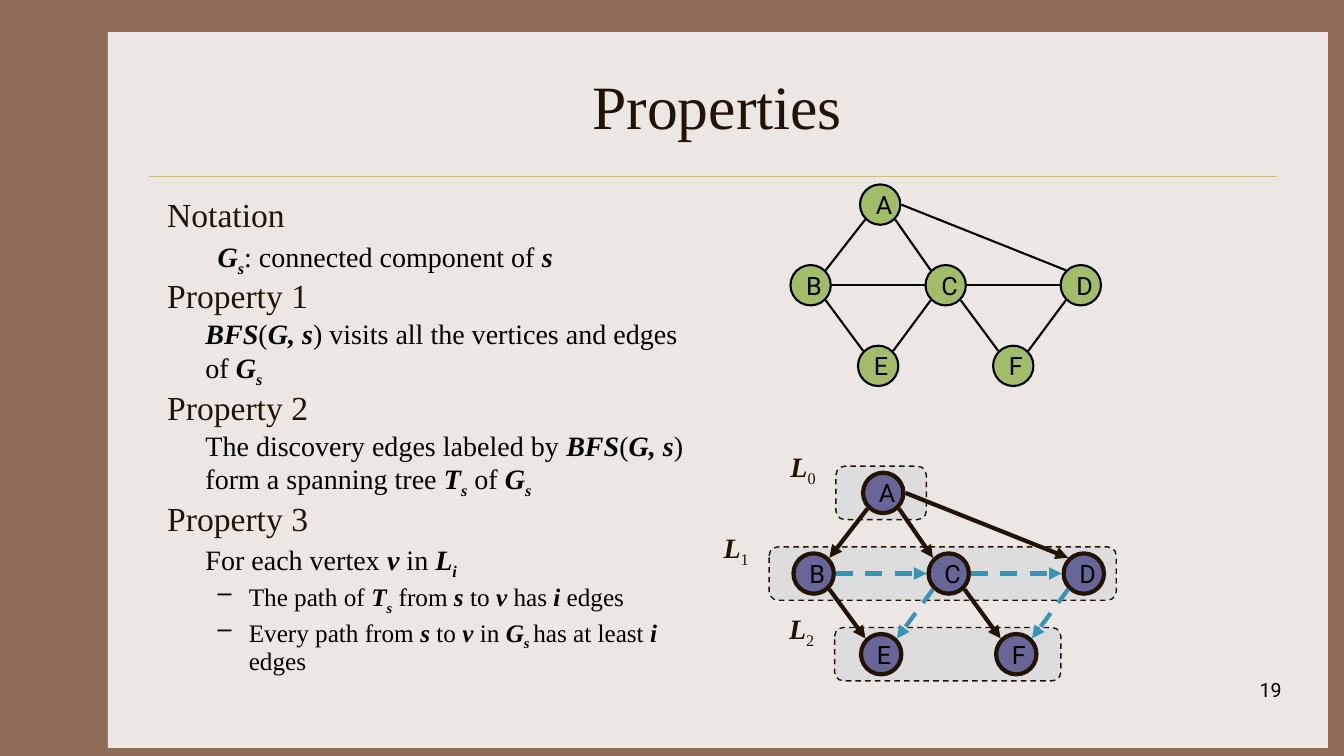
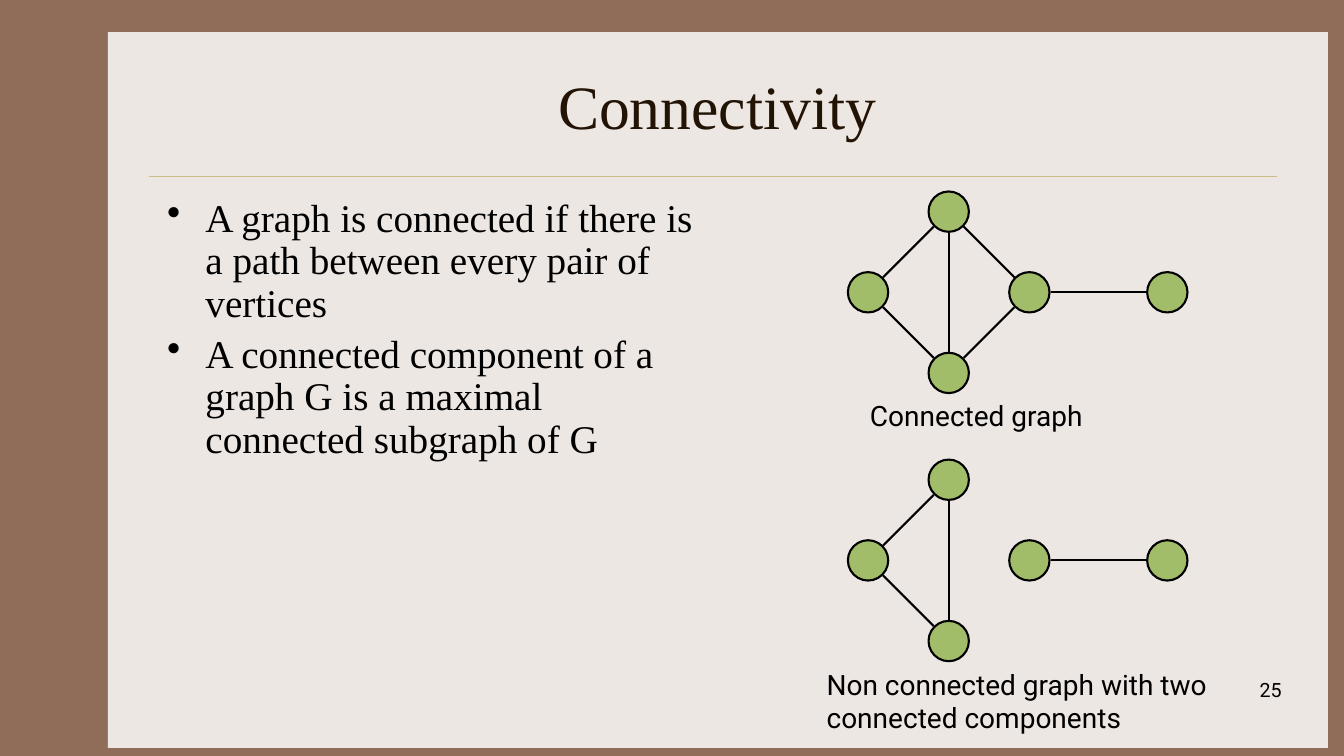
from dataclasses import dataclass
from typing import NamedTuple

from lxml.etree import SubElement
from pptx import Presentation
from pptx.dml.color import RGBColor
from pptx.enum.dml import MSO_LINE
from pptx.enum.shapes import MSO_CONNECTOR, MSO_SHAPE
from pptx.enum.text import MSO_ANCHOR, PP_ALIGN
from pptx.oxml.ns import qn
from pptx.util import Inches, Pt

SERIF, SANS = "Times New Roman", "Roboto"
FRAME, PAPER, RULE = "906D58", "EDE7E3", "CBBD83"
DARK, BLACK = "221304", "000000"
GREEN, VIOLET, GREY, CROSS_BLUE = "A1BD69", "666699", "DDDDDD", "3694B6"

NODE_RADIUS = 0.2
ROW_HEIGHT = 0.8
LEVEL_HEIGHT = 0.53


class Box(NamedTuple):
    left: float
    top: float
    width: float
    height: float


class Edge(NamedTuple):
    start: str
    end: str
    cross: bool = False
    flat_start: bool = False  # leaves from the side of the start node


class Line(NamedTuple):
    text: str  # *bold italic*, _subscript_
    size: float = 20
    colour: str = BLACK
    margin: float = 0.0
    hanging: float = 0.0
    bullet: str = ""


class Level(NamedTuple):
    first_column: float
    last_column: float


@dataclass(frozen=True)
class NodeStyle:
    fill: str
    line: str
    weight: float
    reach: float  # distance from node centre to edge end
    arrows: bool = False


@dataclass(frozen=True)
class Grid:
    left: float
    top: float
    column_width: float

    def point(self, column: float, row: float) -> tuple[float, float]:
        return self.left + column * self.column_width, self.top + row * ROW_HEIGHT


@dataclass(frozen=True)
class Graph:
    grid: Grid
    nodes: dict[str, tuple[float, float]]
    edges: list[Edge]
    style: NodeStyle
    lettered: bool = False


PLAIN = NodeStyle(GREEN, BLACK, 1.5, 0.21)
VISITED = NodeStyle(VIOLET, DARK, 3, 0.22, arrows=True)

BODY = Box(1.56, 1.92, 5.44, 4.5)
TITLE = Box(1.56, 0.42, 11.11, 1.25)
PAGE_NUMBER = Box(10.03, 6.68, 2.78, 0.5)


def colour(code: str) -> RGBColor:
    return RGBColor.from_string(code)


def inches(box: Box) -> list[int]:
    return [Inches(value) for value in box]


# Basic parts
def add_block(page, kind, box: Box, fill: str, line: str = "", weight: float = 1):
    shape = page.shapes.add_shape(kind, *inches(box))
    shape.shadow.inherit = False
    shape.fill.solid()
    shape.fill.fore_color.rgb = colour(fill)
    if line:
        shape.line.color.rgb = colour(line)
        shape.line.width = Pt(weight)
    else:
        shape.line.fill.background()
    return shape


def add_line(page, start, end, code: str, weight: float, dashed=False, arrow=False):
    ends = [Inches(value) for value in (*start, *end)]
    connector = page.shapes.add_connector(MSO_CONNECTOR.STRAIGHT, *ends)
    connector.line.color.rgb = colour(code)
    connector.line.width = Pt(weight)
    if dashed:
        connector.line.dash_style = MSO_LINE.DASH
    properties = connector.element.spPr
    if arrow:
        SubElement(properties.find(qn("a:ln")), qn("a:tailEnd"), type="triangle")
    SubElement(properties, qn("a:effectLst"))
    return connector


def format_span(span, font: str, size: float, code: str) -> None:
    span.font.name = font
    span.font.size = Pt(size)
    span.font.color.rgb = colour(code)


def write_rich(para, text: str, size: float, code: str) -> None:
    for index, part in enumerate(text.split("*")):
        for depth, piece in enumerate(part.split("_")):
            if not piece:
                continue
            span = para.add_run()
            span.text = piece
            format_span(span, SERIF, size, code)
            span.font.bold = span.font.italic = index % 2 == 1
            if depth % 2:
                span.font._element.set("baseline", "-25000")


def add_text_frame(page, box: Box):
    frame = page.shapes.add_textbox(*inches(box)).text_frame
    frame.word_wrap = True
    return frame


def add_label(page, box: Box, text: str, size: float, align=PP_ALIGN.LEFT) -> None:
    para = add_text_frame(page, box).paragraphs[0]
    para.text = text
    para.alignment = align
    format_span(para.runs[0], SANS, size, BLACK)


def add_body(page, lines: list[Line], space_share: float) -> None:
    frame = add_text_frame(page, BODY)
    for index, line in enumerate(lines):
        para = frame.add_paragraph() if index else frame.paragraphs[0]
        para.line_spacing = 0.9
        para.space_before = Pt(round(line.size * 1.15 * space_share, 1))
        write_rich(para, line.text, line.size, line.colour)
        properties = para._p.get_or_add_pPr()
        properties.set("marL", str(Inches(line.margin)))
        properties.set("indent", str(-Inches(line.hanging)))
        if line.bullet:
            SubElement(properties, qn("a:buChar"), char=line.bullet)


# Graphs
def edge_side(here, there, reach: float, flat: bool = False) -> tuple[float, float]:
    """Point beside a node, in one of eight directions towards another node."""
    steps = [(b > a + 0.01) - (b < a - 0.01) for a, b in zip(here, there)]
    if flat:
        steps[1] = 0
    share = reach * (0.71 if all(steps) else 1)
    return here[0] + steps[0] * share, here[1] + steps[1] * share


def add_graph(page, graph: Graph) -> None:
    style = graph.style
    centres = {name: graph.grid.point(*cell) for name, cell in graph.nodes.items()}
    for name, (x, y) in centres.items():
        box = Box(x - NODE_RADIUS, y - NODE_RADIUS, 2 * NODE_RADIUS, 2 * NODE_RADIUS)
        node = add_block(page, MSO_SHAPE.OVAL, box, style.fill, style.line, style.weight)
        if graph.lettered:
            frame = node.text_frame
            frame.text = name
            frame.word_wrap = False
            frame.vertical_anchor = MSO_ANCHOR.MIDDLE
            frame.paragraphs[0].alignment = PP_ALIGN.LEFT
            format_span(frame.paragraphs[0].runs[0], SANS, 18, BLACK)
    for edge in graph.edges:
        start, end = centres[edge.start], centres[edge.end]
        add_line(
            page,
            edge_side(start, end, style.reach, edge.flat_start),
            edge_side(end, start, style.reach),
            CROSS_BLUE if edge.cross else style.line,
            style.weight,
            dashed=edge.cross,
            arrow=style.arrows,
        )


def add_levels(page, grid: Grid, levels: list[Level]) -> None:
    for row, level in enumerate(levels):
        left, middle = grid.point(level.first_column, row)
        right, _ = grid.point(level.last_column, row)
        top = middle - LEVEL_HEIGHT / 2
        box = Box(left, top, right - left, LEVEL_HEIGHT)
        band = add_block(page, MSO_SHAPE.ROUNDED_RECTANGLE, box, GREY, DARK)
        band.line.dash_style = MSO_LINE.DASH
        frame = add_text_frame(page, Box(left - 0.55, top - 0.21, 0.51, 0.43))
        write_rich(frame.paragraphs[0], f"*L*_{row}_", 20, DARK)


# What the slides share
def add_frame(deck, page) -> None:
    """Place the paper panel and the title rule on the layout of the page."""
    background = deck.slide_master.background.fill
    background.solid()
    background.fore_color.rgb = colour(FRAME)
    panel = add_block(page, MSO_SHAPE.RECTANGLE, Box(1.07, 0.32, 12.1, 7.1), PAPER)
    rule = add_line(page, (1.48, 1.75), (12.67, 1.75), RULE, 0.25)
    tree = page.slide_layout.shapes.element
    for position, part in enumerate((panel, rule), start=2):
        tree.insert(position, part.element)


def add_page(deck, title: str, number: int):
    page = deck.slides.add_slide(deck.slide_layouts[5])
    heading = page.shapes.title
    heading.left, heading.top, heading.width, heading.height = inches(TITLE)
    frame = heading.text_frame
    frame.text = title
    frame.vertical_anchor = MSO_ANCHOR.MIDDLE
    frame.paragraphs[0].alignment = PP_ALIGN.CENTER
    format_span(frame.paragraphs[0].runs[0], SERIF, 44, DARK)
    add_label(page, PAGE_NUMBER, str(number), 14, PP_ALIGN.RIGHT)
    return page


# Slides
def build_properties(page) -> None:
    def heading(text: str) -> Line:
        return Line(text, 24, DARK)

    def statement(text: str, margin: float = 0.38) -> Line:
        return Line(text, margin=margin)

    def item(text: str) -> Line:
        return Line(text, 18, BLACK, 0.81, 0.31, "–")

    add_body(page, [
        heading("Notation"),
        statement("*G_s_*: connected component of *s*", 0.5),
        heading("Property 1"),
        statement("*BFS*(*G, s*) visits all the vertices and edges of *G_s_*"),
        heading("Property 2"),
        statement("The discovery edges labeled by *BFS*(*G, s*) "
                  "form a spanning tree *T_s_* of *G_s_*"),
        heading("Property 3"),
        statement("For each vertex *v* in *L_i_*"),
        item("The path of *T_s_* from *s *to *v *has *i* edges"),
        item("Every path from *s *to *v *in *G_s _*has at least *i* edges"),
    ], 0.15)

    nodes = {"A": (1.03, 0), "B": (0, 1), "C": (2, 1), "D": (4, 1),
             "E": (1, 2), "F": (3, 2)}
    edges = [
        Edge("A", "B"), Edge("A", "C"), Edge("A", "D", flat_start=True),
        Edge("B", "E"), Edge("C", "F"),
        Edge("B", "C", cross=True), Edge("C", "D", cross=True),
        Edge("C", "E", cross=True), Edge("D", "F", cross=True),
    ]
    plain_edges = [edge._replace(cross=False) for edge in edges]
    add_graph(page, Graph(Grid(8.04, 2.03, 0.67), nodes, plain_edges, PLAIN, True))
    search_grid = Grid(8.07, 4.89, 0.67)
    add_levels(page, search_grid, [Level(0.33, 1.67), Level(-0.66, 4.48), Level(0.31, 3.66)])
    add_graph(page, Graph(search_grid, nodes, edges, VISITED, True))


def build_connectivity(page) -> None:
    add_body(page, [
        Line(text, 28, BLACK, 0.38, 0.38, "•")
        for text in (
            "A graph is connected if there is a path between every pair of vertices",
            "A connected component of a graph G is a maximal connected subgraph of G",
        )
    ], 0.2)

    nodes = {"left": (0, 1), "top": (1, 0), "bottom": (1, 2),
             "right": (2, 1), "far": (3.71, 1)}
    split_edges = [Edge("top", "left"), Edge("bottom", "left"),
                   Edge("top", "bottom"), Edge("right", "far")]
    joined_edges = split_edges + [Edge("top", "right"), Edge("bottom", "right")]
    for top, edges in ((2.1, joined_edges), (4.76, split_edges)):
        add_graph(page, Graph(Grid(8.61, top, 0.8), nodes, edges, PLAIN))
    add_label(page, Box(8.53, 3.9, 3.12, 0.43), "Connected graph", 20)
    add_label(page, Box(8.1, 6.57, 3.99, 0.77),
              "Non connected graph with two connected components", 20)


def main() -> None:
    deck = Presentation()
    deck.slide_width, deck.slide_height = Inches(13.33), Inches(7.5)
    properties = add_page(deck, "Properties", 19)
    add_frame(deck, properties)
    build_properties(properties)
    build_connectivity(add_page(deck, "Connectivity", 25))
    deck.save("out.pptx")


if __name__ == "__main__":
    main()
